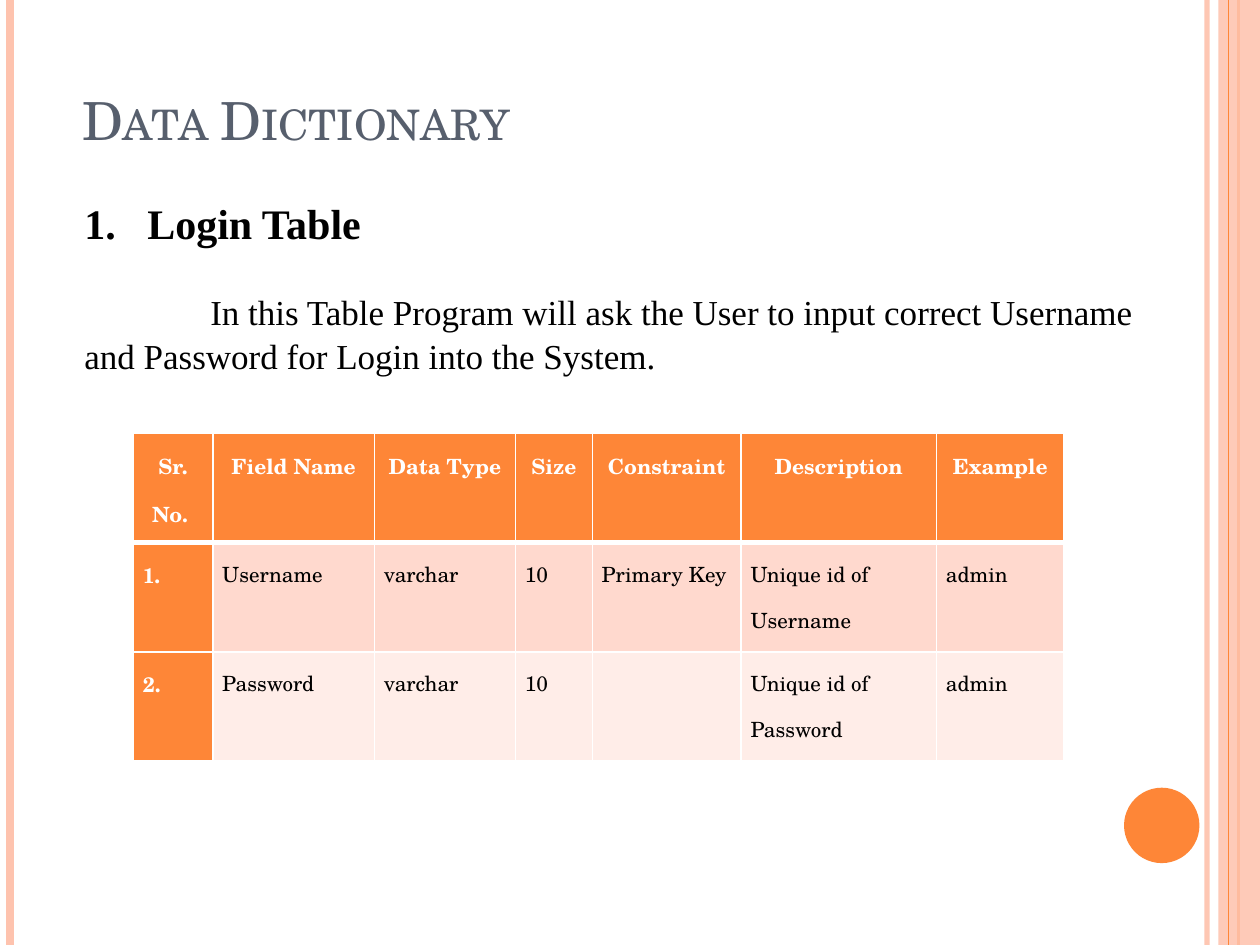
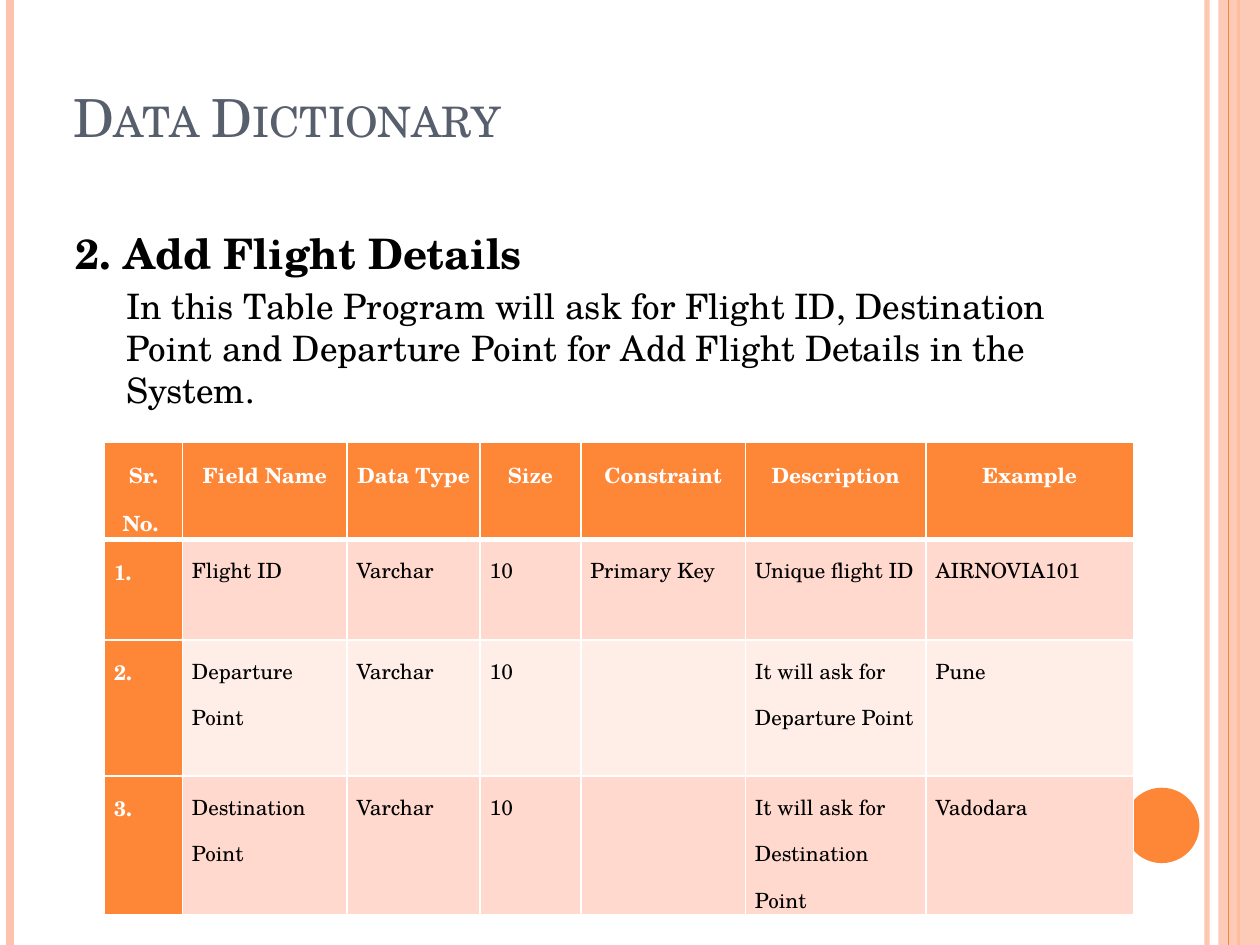
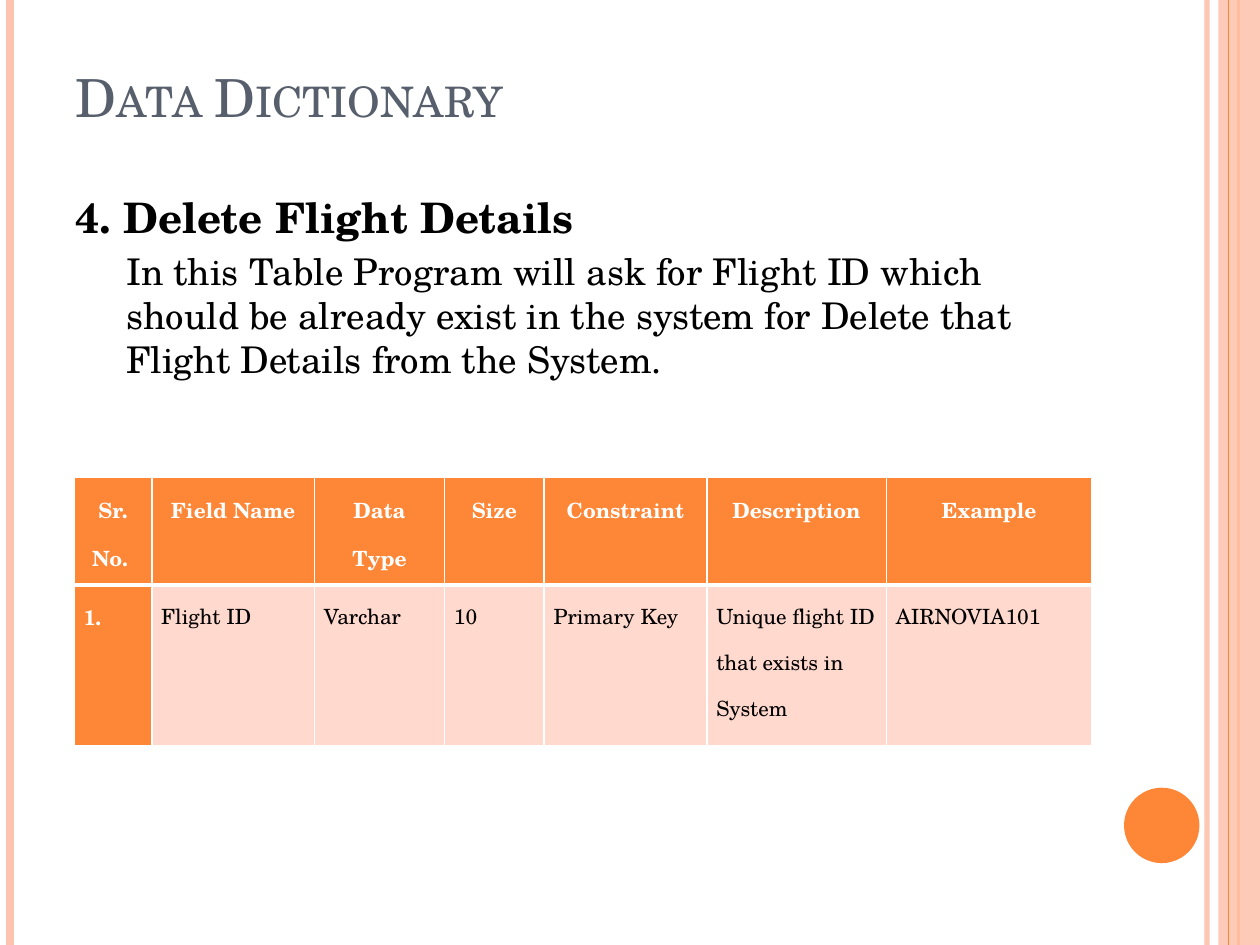
from dataclasses import dataclass

from lxml.etree import SubElement
from pptx import Presentation
from pptx.dml.color import RGBColor
from pptx.enum.shapes import MSO_CONNECTOR, MSO_SHAPE
from pptx.enum.text import MSO_ANCHOR, MSO_AUTO_SIZE, PP_ALIGN
from pptx.oxml.ns import qn
from pptx.util import Cm, Pt

LINE = MSO_CONNECTOR.STRAIGHT
RECT, OVAL = MSO_SHAPE.RECTANGLE, MSO_SHAPE.OVAL
TOP, BOTTOM = MSO_ANCHOR.TOP, MSO_ANCHOR.BOTTOM
LEFT, CENTER = PP_ALIGN.LEFT, PP_ALIGN.CENTER
FIXED = MSO_AUTO_SIZE.NONE


@dataclass(frozen=True)
class Theme:
    font: str = "TeX Gyre Schola"
    serif: str = "Times New Roman"
    orange: str = "FE8637"
    peach: str = "FEC3AE"
    odd: str = "FFD9CE"
    even: str = "FFEDE8"
    slate: str = "575F6D"
    white: str = "FFFFFF"
    black: str = "000000"
    title: int = 30
    head: int = 24
    cell: int = 12


THEME = Theme()
WIDTH, HEIGHT = 25.4, 19.05

RAILS = [
    (24.33, THEME.peach, 3, 93),
    (0.2, THEME.peach, 4.5, 100),
    (24.97, THEME.orange, 1.5, 100),
]
INNER = (24.77, THEME.orange, 0.75, 100)
BAND = (24.56, 0, 0.84, HEIGHT)
DISC = (22.66, 15.88, 1.52, 1.52)

TITLE = "Data Dictionary"
HEADS = ["Sr. No. ", "Field Name", "Data Type", "Size",
         "Constraint", "Description", "Example"]

PLAIN = dict(layout=1, font=THEME.font, number=False, pad=0.13,
             left=1.02, first=0, gap=4, lines=1.0)

PAGES = [
    dict(
        layout=5, font=THEME.serif, number=True, pad=0.22,
        left=0, first=2.54, gap=23, lines=1.05, size=20,
        title=(1.4, 0, 20.75, 3.18),
        body=(1.45, 3.76, 22.66, 4.52),
        head="Login Table",
        text="In this Table Program will ask the User to input correct "
             "Username and Password for Login into the System.",
        table=(2.69, 8.74),
        cols=[1.6, 3.26, 2.84, 1.55, 3, 3.94, 2.57],
        rows=[2.2, 2.2, 2.2],
        data=[
            ["1.", "Username", "varchar", "10", "Primary Key",
             "Unique id of Username", "admin"],
            ["2.", "Password", "varchar", "10", "",
             "Unique id of Password", "admin"],
        ],
    ),
    dict(
        PLAIN, size=20,
        title=(1.22, 0.91, 20.75, 2.21),
        body=(1.27, 4.45, 20.75, 13.54),
        head="2. Add Flight Details",
        text="In this Table Program will ask for Flight ID, Destination Point "
             "and Departure Point for Add Flight Details in the System.",
        table=(2.11, 8.92),
        cols=[1.57, 3.32, 2.68, 2.03, 3.32, 3.64, 4.18],
        rows=[1.35, 2.03, 2.74, 2.72],
        data=[
            ["1.", "Flight ID", "Varchar", "10", "Primary Key",
             "Unique flight ID", "AIRNOVIA101"],
            ["2.", "Departure Point", "Varchar", "10", "",
             "It will ask for Departure Point", "Pune"],
            ["3.", "Destination Point", "Varchar", "10", "",
             "It will ask for Destination Point", "Vadodara"],
        ],
    ),
    dict(
        PLAIN, size=21,
        title=(1.27, 0.91, 20.75, 1.8),
        body=(1.27, 3.73, 20.75, 13.54),
        head="4. Delete Flight Details",
        text="In this Table Program will ask for Flight ID which should be "
             "already exist in the system for Delete that Flight Details "
             "from the System.",
        table=(1.5, 9.63),
        cols=[1.56, 3.28, 2.62, 2.01, 3.28, 3.62, 4.14],
        rows=[2.16, 3.25],
        data=[
            ["1.", "Flight ID", "Varchar", "10", "Primary Key",
             "Unique flight ID that exists in System", "AIRNOVIA101"],
        ],
    ),
]


def rgb(code):
    return RGBColor.from_string(code)


def place(shape, spot):
    shape.left, shape.top, shape.width, shape.height = map(Cm, spot)


def write(para, text, size, color, bold=False, font=THEME.font):
    run = para.add_run()
    run.text = text
    run.font.name = font
    run.font.size = Pt(size)
    run.font.bold = bold
    run.font.color.rgb = rgb(color)
    return run


def fade(shape, part):
    for tint in shape.element.spPr.iter(qn("a:srgbClr")):
        SubElement(tint, qn("a:alpha")).set("val", str(part * 1000))


def add_rail(slide, x, color, weight, part):
    rail = slide.shapes.add_connector(LINE, Cm(x), 0, Cm(x), Cm(HEIGHT))
    rail.line.color.rgb = rgb(color)
    rail.line.width = Pt(weight)
    if part < 100:
        fade(rail, part)
    SubElement(rail.element.spPr, qn("a:effectLst"))
    return rail


def add_solid(slide, kind, spot, color):
    shape = slide.shapes.add_shape(kind, *map(Cm, spot))
    shape.shadow.inherit = False
    shape.fill.solid()
    shape.fill.fore_color.rgb = rgb(color)
    shape.line.fill.background()
    return shape


def dress(master, slide):
    parts = [add_rail(slide, *rail) for rail in RAILS]
    band = add_solid(slide, RECT, BAND, THEME.peach)
    fade(band, 87)
    parts += [band, add_rail(slide, *INNER),
              add_solid(slide, OVAL, DISC, THEME.orange)]
    for i, part in enumerate(parts):
        part.element.xpath(".//p:cNvPr")[0].set("id", str(100 + i))
        master.shapes.element.insert(2 + i, part.element)


def add_title(slide, spot):
    title = slide.shapes.title
    place(title, spot)
    frame = title.text_frame
    frame.auto_size = FIXED
    frame.vertical_anchor = BOTTOM
    para = frame.paragraphs[0]
    para.alignment = LEFT
    run = write(para, TITLE, THEME.title, THEME.slate)
    run.font._element.set("cap", "small")


def indent(para, left, first, number=False):
    props = para._p.get_or_add_pPr()
    props.set("marL", str(Cm(left)))
    props.set("indent", str(Cm(first)))
    if number:
        SubElement(props, qn("a:buAutoNum")).set("type", "arabicPeriod")
    else:
        SubElement(props, qn("a:buNone"))


def add_body(slide, page):
    if page["number"]:
        body = slide.shapes.add_textbox(*map(Cm, page["body"]))
    else:
        body = slide.placeholders[1]
        place(body, page["body"])
    frame = body.text_frame
    frame.word_wrap = True
    frame.auto_size = FIXED
    frame.vertical_anchor = TOP
    frame.margin_top = Cm(page["pad"])

    head = frame.paragraphs[0]
    if page["number"]:
        indent(head, 1.27, -1.27, True)
    else:
        indent(head, 0, 0)
        head.space_before = Pt(6)
    write(head, page["head"], THEME.head, THEME.black, True, page["font"])

    para = frame.add_paragraph()
    para.level = 0 if page["number"] else 1
    indent(para, page["left"], page["first"])
    para.space_before = Pt(page["gap"])
    para.line_spacing = page["lines"]
    write(para, page["text"], page["size"], THEME.black, font=page["font"])


def edge(cell, row):
    props = cell._tc.get_or_add_tcPr()
    heavy = {"T": row == 1, "B": row == 0}
    for i, side in enumerate("LRTB"):
        line = SubElement(props, qn("a:ln" + side))
        line.set("w", str(Pt(3 if heavy.get(side) else 1)))
        fill = SubElement(line, qn("a:solidFill"))
        SubElement(fill, qn("a:srgbClr")).set("val", THEME.white)
        props.insert(i, line)


def fill_cell(cell, text, row, col):
    strong = row == 0 or col == 0
    shade = THEME.odd if row % 2 else THEME.even
    cell.fill.solid()
    cell.fill.fore_color.rgb = rgb(THEME.orange if strong else shade)
    edge(cell, row)
    cell.margin_left = cell.margin_right = Cm(0.19)
    cell.margin_top = cell.margin_bottom = 0
    if text:
        para = cell.text_frame.paragraphs[0]
        para.alignment = LEFT if row else CENTER
        para.line_spacing = 1.5
        color = THEME.white if strong else THEME.black
        write(para, text, THEME.cell, color, strong)


def add_grid(slide, page):
    cols, rows = page["cols"], page["rows"]
    spot = (*page["table"], sum(cols), sum(rows))
    grid = slide.shapes.add_table(len(rows), len(cols), *map(Cm, spot)).table
    for col, width in zip(grid.columns, cols):
        col.width = Cm(width)
    for row, height in zip(grid.rows, rows):
        row.height = Cm(height)
    for r, line in enumerate([HEADS] + page["data"]):
        for c, text in enumerate(line):
            fill_cell(grid.cell(r, c), text, r, c)


def main():
    deck = Presentation()
    deck.slide_width, deck.slide_height = Cm(WIDTH), Cm(HEIGHT)
    for i, page in enumerate(PAGES):
        slide = deck.slides.add_slide(deck.slide_layouts[page["layout"]])
        if i == 0:
            dress(deck.slide_master, slide)
        add_title(slide, page["title"])
        add_body(slide, page)
        add_grid(slide, page)
    deck.save("out.pptx")


if __name__ == "__main__":
    main()
